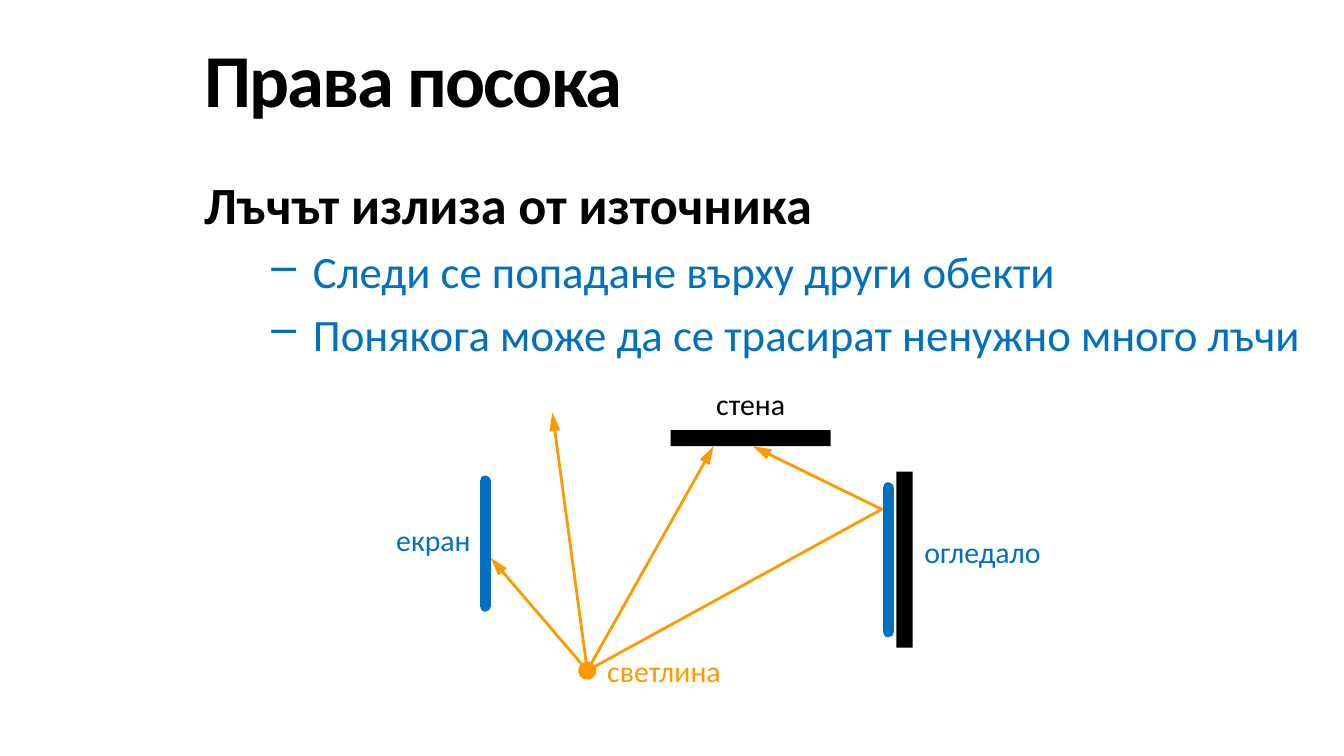
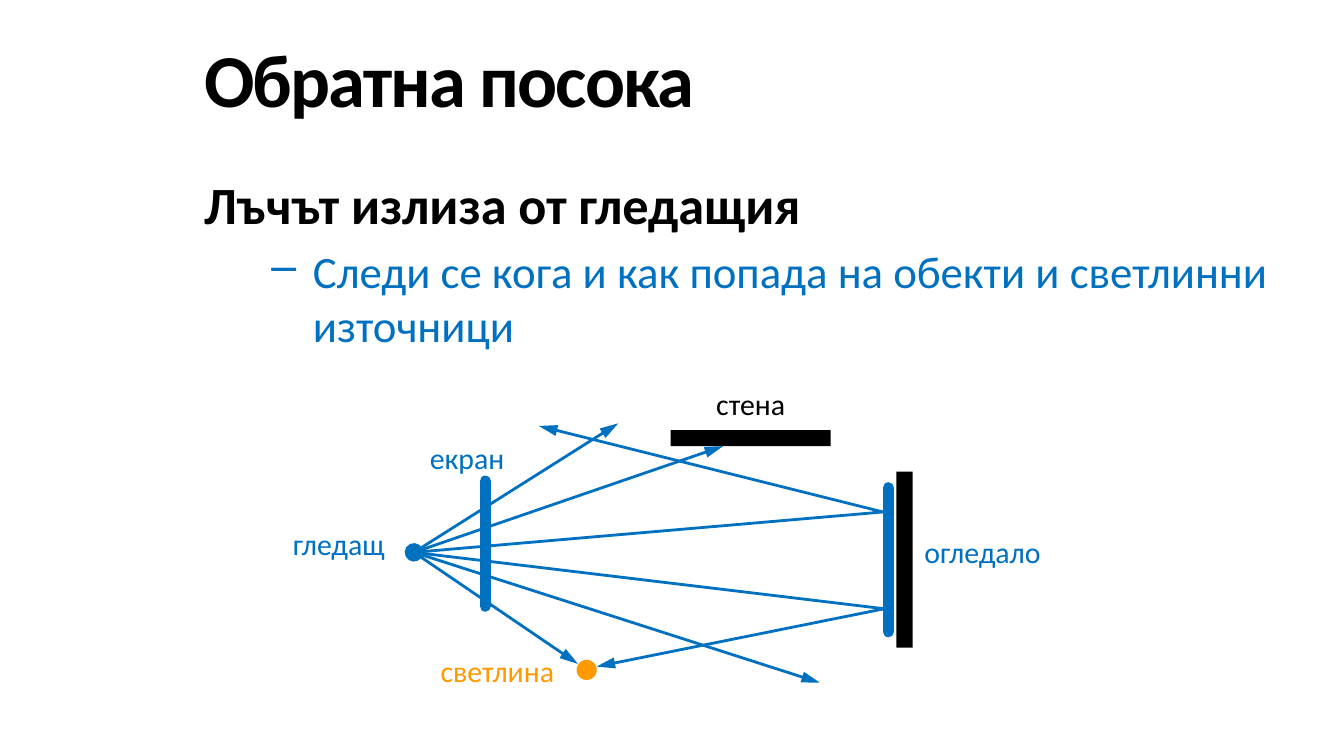
from lxml.etree import SubElement
from pptx import Presentation
from pptx.dml.color import RGBColor
from pptx.enum.shapes import MSO_CONNECTOR as Connector, MSO_SHAPE as Preset
from pptx.enum.text import MSO_ANCHOR as Anchor, MSO_AUTO_SIZE as AutoSize, PP_ALIGN as Align
from pptx.oxml.ns import qn
from pptx.util import Inches, Pt

COLORS = {"ink": "000000", "blue": "0070C0", "light": "FF9900"}
FORMATS = {
    "title": {"size": Pt(40), "bold": True},
    "heading": {"size": Pt(28), "bold": True},
    "bullet": {"size": Pt(24), "bold": False},
    "label": {"size": Pt(16)},
}
FONT = "Calibri"
COLUMNS, ROWS = 100, 56.25
CELL = Inches(0.1)
TEXT_LEFT, TEXT_WIDTH = 14.2, 85.8
LABEL_HEIGHT = 3.7
RAY_WIDTH, SURFACE_WIDTH = 1.5, 6


def cells(*values):
    return [round(value * CELL) for value in values]


class Deck:
    def __init__(self):
        self.presentation = Presentation()
        self.presentation.slide_width, self.presentation.slide_height = cells(COLUMNS, ROWS)
        self.slide = None

    def start(self, title, heading, bullets):
        self.slide = self.presentation.slides.add_slide(self.presentation.slide_layouts[6])
        frame = self.frame(TEXT_LEFT, 1.5, TEXT_WIDTH, 8.5, vertical_anchor=Anchor.MIDDLE)
        run = self.add_text(frame.paragraphs[0], title, "title", "ink")
        run._r.get_or_add_rPr().set("spc", "-100")
        frame = self.frame(TEXT_LEFT, 12.3, TEXT_WIDTH, 40.8)
        self.add_text(frame.paragraphs[0], heading, "heading", "ink")
        for text in bullets:
            self.bullet(frame.add_paragraph(), text)

    def frame(self, left, top, width, height, **settings):
        frame = self.slide.shapes.add_textbox(*cells(left, top, width, height)).text_frame
        for name, value in {"word_wrap": True, **settings}.items():
            setattr(frame, name, value)
        return frame

    def add_text(self, paragraph, text, style, color):
        run = paragraph.add_run()
        run.text = text
        for name, value in {"name": FONT, **FORMATS[style]}.items():
            setattr(run.font, name, value)
        run.font.color.rgb = RGBColor.from_string(COLORS[color])
        return run

    def bullet(self, paragraph, text):
        properties = paragraph._p.get_or_add_pPr()
        for name, value in {"lvl": 1, "marL": Inches(0.81), "indent": Inches(-0.31)}.items():
            properties.set(name, str(value))
        SubElement(properties, qn("a:buChar")).set("char", "–")
        paragraph.space_before = Pt(4.8)
        self.add_text(paragraph, text, "bullet", "blue")

    def label(self, text, left, top, width, color, centered=False):
        frame = self.frame(left, top, width, LABEL_HEIGHT, word_wrap=centered,
                           auto_size=AutoSize.SHAPE_TO_FIT_TEXT)
        if centered:
            frame.paragraphs[0].alignment = Align.CENTER
        self.add_text(frame.paragraphs[0], text, "label", color)

    def solid(self, preset, left, top, width, height, color):
        shape = self.slide.shapes.add_shape(preset, *cells(left, top, width, height))
        shape.shadow.inherit = False
        shape.fill.solid()
        shape.fill.fore_color.rgb = RGBColor.from_string(COLORS[color])
        shape.line.fill.background()

    def stroke(self, shape, color, width, cap=None, **ends):
        shape.line.color.rgb = RGBColor.from_string(COLORS[color])
        shape.line.width = Pt(width)
        outline = shape.line._get_or_add_ln()
        if cap:
            outline.set("cap", cap)
            SubElement(outline, qn("a:round"))
        for end, (kind, thickness, length) in ends.items():
            element = SubElement(outline, qn(f"a:{end}"))
            for name, value in {"type": kind, "w": thickness, "len": length}.items():
                element.set(name, value)

    def segment(self, start, finish, color, width, **details):
        line = self.slide.shapes.add_connector(Connector.STRAIGHT, *cells(*start, *finish))
        self.stroke(line, color, width, **details)
        SubElement(line._element.spPr, qn("a:effectLst"))

    def surface(self, start, finish):
        self.segment(start, finish, "blue", SURFACE_WIDTH, cap="rnd")

    def ray(self, color, start, *points, source=False):
        ends = {"headEnd": ("oval", "lg", "lg")} if source else {}
        ends["tailEnd"] = ("triangle", "med", "lg")
        if len(points) == 1:
            self.segment(start, points[0], color, RAY_WIDTH, **ends)
            return
        builder = self.slide.shapes.build_freeform(*cells(*start), scale=1.0)
        builder.add_line_segments([cells(*point) for point in points], close=False)
        shape = builder.convert_to_shape()
        shape.shadow.inherit = False
        shape.fill.background()
        self.stroke(shape, color, RAY_WIDTH, **ends)

    def scene(self, screen_label, light_label):
        self.surface((36.1, 35.8), (36.1, 45.1))
        self.solid(Preset.RECTANGLE, 49.9, 32, 11.9, 1.2, "ink")
        self.solid(Preset.RECTANGLE, 66.7, 35.1, 1.2, 13.1, "ink")
        self.surface((66.1, 47), (66.1, 36.3))
        self.label("екран", *screen_label, 7.6, "blue")
        self.label("светлина", *light_label, 10.6, "light")
        self.label("огледало", 67.8, 39.2, 10.8, "blue")
        self.label("стена", 49.9, 28.2, 11.9, "ink", centered=True)


def forward(deck):
    deck.start("Права посока", "Лъчът излиза от източника", [
        "Следи се попадане върху други обекти",
        "Понякога може да се трасират ненужно много лъчи",
    ])
    deck.scene((28.5, 38.3), (44.2, 48.1))
    light = (43.7, 49.9)
    deck.ray("light", light, (36.5, 41.5), source=True)
    deck.ray("light", light, (41.1, 30.7))
    deck.ray("light", light, (65.6, 37.9), (56, 33.2))
    deck.ray("light", light, (53.1, 33.2))


def backward(deck):
    deck.start("Обратна посока", "Лъчът излиза от гледащия", [
        "Следи се кога и как попада на обекти и светлинни източници",
    ])
    deck.scene((31, 32.2), (31.8, 48.1))
    deck.label("гледащ", 20.8, 38.6, 8.9, "blue")
    deck.solid(Preset.OVAL, 42.9, 49.1, 1.5, 1.5, "light")
    viewer = (30.8, 41.1)
    deck.ray("blue", viewer, (43, 49.4), source=True)
    deck.ray("blue", viewer, (65.8, 45.3), (44.4, 49.6))
    deck.ray("blue", viewer, (65.7, 38.1), (40.1, 31.7))
    for target in ((61, 50.8), (53.8, 33.2), (46, 31.5)):
        deck.ray("blue", viewer, target)


def main():
    deck = Deck()
    forward(deck)
    backward(deck)
    deck.presentation.save("out.pptx")


if __name__ == "__main__":
    main()
